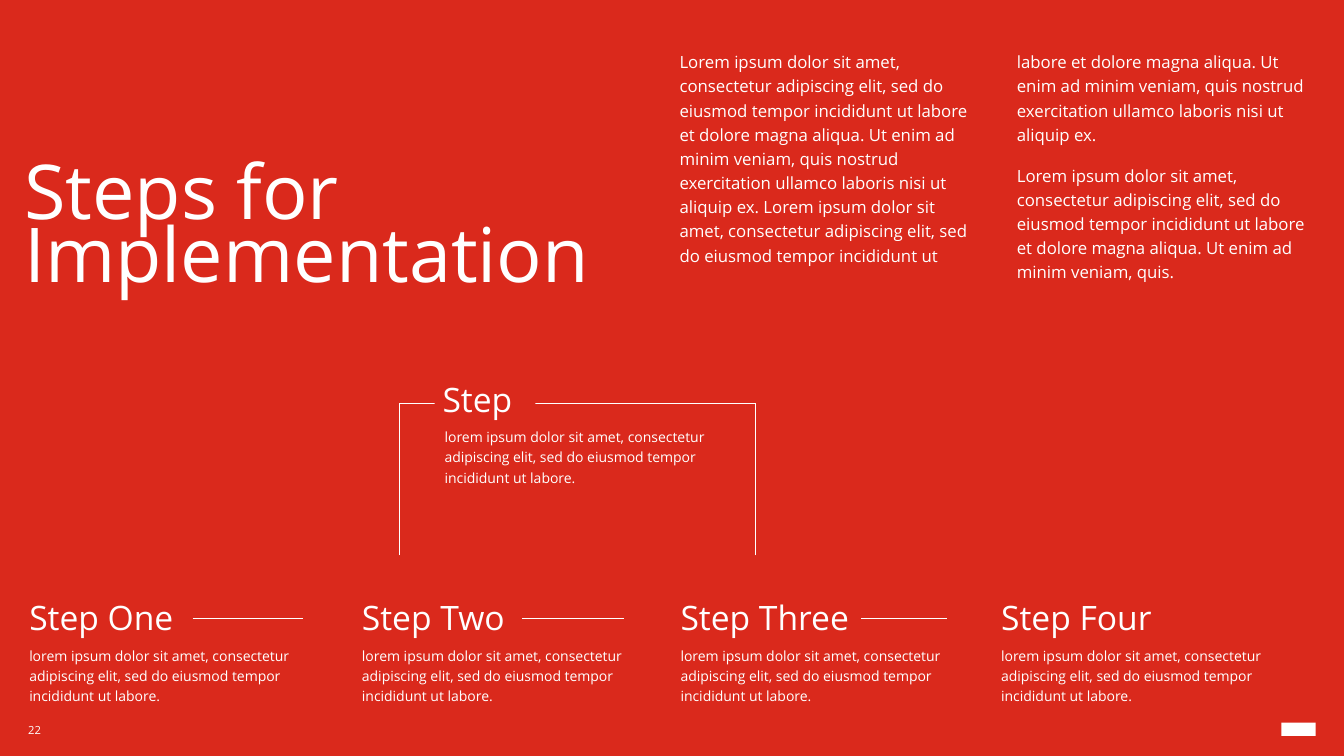
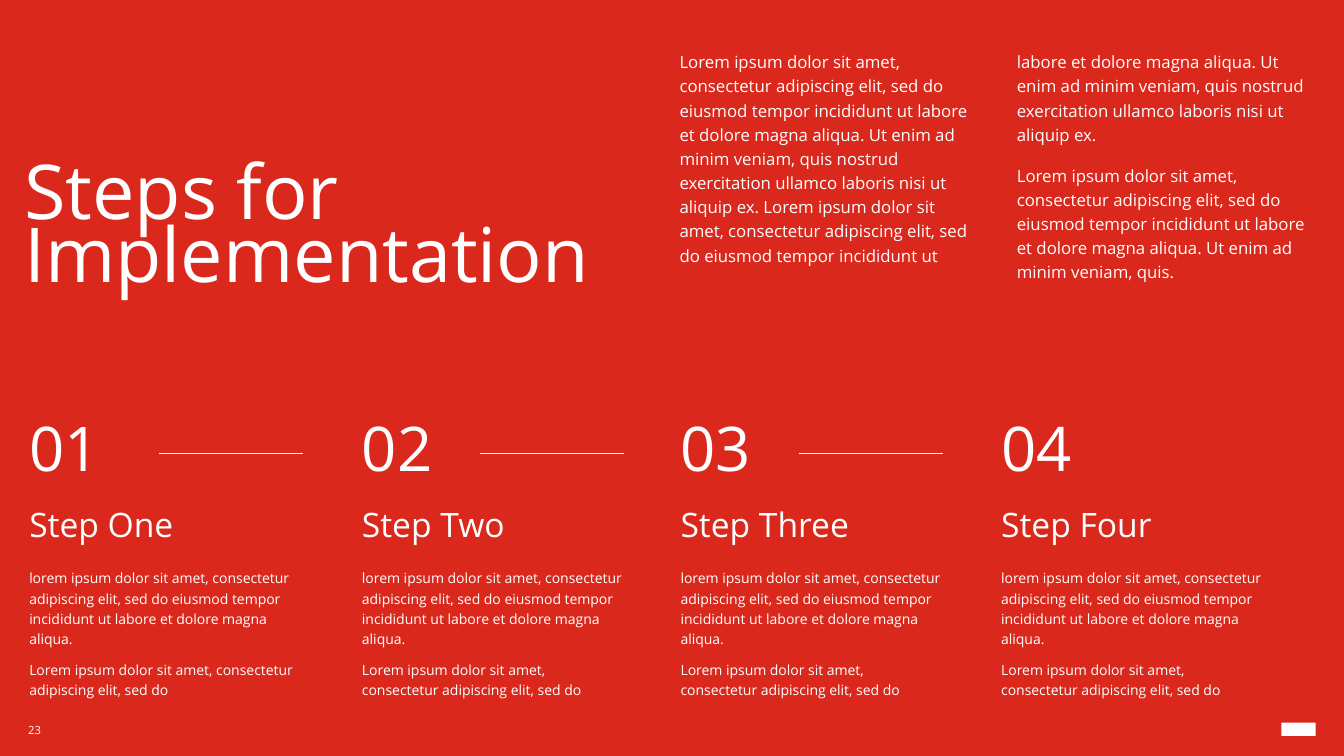
from pptx import Presentation
from pptx.dml.color import RGBColor
from pptx.enum.shapes import MSO_CONNECTOR, MSO_SHAPE
from pptx.enum.text import MSO_ANCHOR, PP_ALIGN
from pptx.oxml.ns import qn
from pptx.util import Inches, Pt
from lxml.etree import SubElement

RED = RGBColor(0xDA, 0x29, 0x1C)
WHITE = RGBColor(0xFF, 0xFF, 0xFF)
FONT = "Open Sans"

# Text styles shared by both slides
TITLE = {"size": 54, "line_spacing": 0.7, "anchor": MSO_ANCHOR.BOTTOM}
INTRO = {"size": 12, "line_spacing": 1.2, "space_after": 12, "anchor": MSO_ANCHOR.BOTTOM}
NUMBER = {"size": 44, "line_spacing": 0.7}
HEADING = {"size": 24, "line_spacing": 0.7}
BODY = {"size": 10, "line_spacing": 1.2, "space_after": 12}
DETAIL = BODY | {"space_after": 8}
FOOTER = {"size": 8, "anchor": MSO_ANCHOR.MIDDLE}

# Grid: (left, width) of the four step columns, and the heights of single rows
COLUMNS = [(0.29, 2.72), (3.59, 2.6), (6.75, 2.6), (9.93, 2.6)]
STEPS = ["Step One", "Step Two", "Step Three", "Step Four"]
HEADING_HEIGHT = 0.45
BODY_HEIGHT = 0.59
DETAIL_HEIGHT = 1.31

OPENING = "orem ipsum dolor sit amet, consectetur adipiscing elit, sed do"
SENTENCE = f"L{OPENING} eiusmod tempor incididunt ut labore et dolore magna aliqua."
VENIAM = "Ut enim ad minim veniam, quis"
PASSAGE = f"{SENTENCE} {VENIAM} nostrud exercitation ullamco laboris nisi ut aliquip ex."
INTRO_TEXT = [f"{PASSAGE} {PASSAGE}", f"{SENTENCE} {VENIAM}."]
BODY_TEXT = [f"l{OPENING} eiusmod tempor incididunt ut labore."]
DETAIL_TEXT = [
    f"l{OPENING} eiusmod tempor incididunt ut labore et dolore magna aliqua.",
    f"L{OPENING}",
]


def add_text(slide, texts, left, top, width, height, style, fill=None, indent=0):
    """Add paragraphs in a text box, or in a rectangle when a fill is given."""
    box = [Inches(length) for length in (left, top, width, height)]
    if fill is None:
        shape = slide.shapes.add_textbox(*box)
    else:
        shape = slide.shapes.add_shape(MSO_SHAPE.RECTANGLE, *box)
        shape.shadow.inherit = False
        shape.fill.solid()
        shape.fill.fore_color.rgb = fill
        shape.line.fill.background()
    frame = shape.text_frame
    frame_format = {
        "word_wrap": True,
        "margin_left": Inches(indent),
        "margin_top": 0,
        "margin_right": 0,
        "margin_bottom": 0,
        "vertical_anchor": style.get("anchor", MSO_ANCHOR.TOP),
    }
    for name, value in frame_format.items():
        setattr(frame, name, value)
    frame.text = "\n".join(texts)
    paragraph_format = {
        "alignment": PP_ALIGN.LEFT,
        "line_spacing": style.get("line_spacing", 1.0),
        "space_after": Pt(style.get("space_after", 0)),
    }
    for paragraph in frame.paragraphs:
        for name, value in paragraph_format.items():
            setattr(paragraph, name, value)
        for run in paragraph.runs:
            run.font.name = FONT
            run.font.size = Pt(style["size"])
            run.font.color.rgb = WHITE
    return shape


def add_line(slide, *ends):
    """Draw a thin white line from (x, y) to (x, y), in inches."""
    line = slide.shapes.add_connector(MSO_CONNECTOR.STRAIGHT, *map(Inches, ends))
    line.line.color.rgb = WHITE
    line.line.width = Pt(0.5)
    SubElement(line._element.spPr, qn("a:effectLst"))


presentation = Presentation()
presentation.slide_width = Inches(13.33)
presentation.slide_height = Inches(7.5)
blank_layout = presentation.slide_layouts[6]

# Background, title, two-column introduction, page number and corner mark
slides = []
for page in (22, 23):
    slide = presentation.slides.add_slide(blank_layout)
    slide.background.fill.solid()
    slide.background.fill.fore_color.rgb = RED
    add_text(slide, ["Steps for Implementation"], 0.24, 0.77, 6.63, 2.16, TITLE)
    intro = add_text(slide, INTRO_TEXT, 6.74, 0.48, 6.3, 2.32, INTRO)
    body_properties = intro.text_frame._txBody.bodyPr
    body_properties.set("numCol", "2")
    body_properties.set("spcCol", str(Inches(0.39)))
    add_text(slide, [str(page)], 0.28, 7.13, 0.54, 0.22, FOOTER)
    mark_box = [Inches(length) for length in (12.71, 7.17, 0.34, 0.13)]
    mark = slide.shapes.add_shape(MSO_SHAPE.RECTANGLE, *mark_box)
    mark.shadow.inherit = False
    mark.fill.solid()
    mark.fill.fore_color.rgb = WHITE
    mark.line.fill.background()
    slides.append(slide)
bracket_slide, number_slide = slides

# Steps in a row, with a bracket above the middle ones
HEADING_TOP, BODY_TOP, RULE_Y = 6.03, 6.39, 6.13
for (left, width), step in zip(COLUMNS, STEPS):
    add_text(bracket_slide, [step], left, HEADING_TOP, width, HEADING_HEIGHT, HEADING)
    add_text(bracket_slide, BODY_TEXT, left, BODY_TOP, width, BODY_HEIGHT, BODY)
for rule_start, rule_end in ((1.91, 3.01), (5.18, 6.19), (8.54, 9.39)):
    add_line(bracket_slide, rule_start, RULE_Y, rule_end, RULE_Y)

BRACKET_LEFT, BRACKET_RIGHT, BRACKET_TOP, BRACKET_BOTTOM = 3.96, 7.49, 4, 5.51
add_line(bracket_slide, BRACKET_LEFT, BRACKET_TOP, BRACKET_RIGHT, BRACKET_TOP)
for x in (BRACKET_LEFT, BRACKET_RIGHT):
    add_line(bracket_slide, x, BRACKET_BOTTOM, x, BRACKET_TOP)
add_text(bracket_slide, ["Step"], 4.31, 3.87, 1, HEADING_HEIGHT, HEADING, RED, 0.08)
add_text(bracket_slide, BODY_TEXT, 4.41, 4.22, 2.6, BODY_HEIGHT, BODY)

# Numbered steps, joined by rules that end at the column edge
RULE_LENGTH, RULE_Y = 1.43, 4.5
for index, ((left, width), step) in enumerate(zip(COLUMNS, STEPS), start=1):
    add_text(number_slide, [f"{index:02}"], left, 4.27, 2.21, HEADING_HEIGHT, NUMBER)
    add_text(number_slide, [step], left, 5.11, width, HEADING_HEIGHT, HEADING)
    add_text(number_slide, DETAIL_TEXT, left, 5.62, width, DETAIL_HEIGHT, DETAIL)
    if index < len(STEPS):
        right = left + width
        add_line(number_slide, right - RULE_LENGTH, RULE_Y, right, RULE_Y)

presentation.save("out.pptx")
